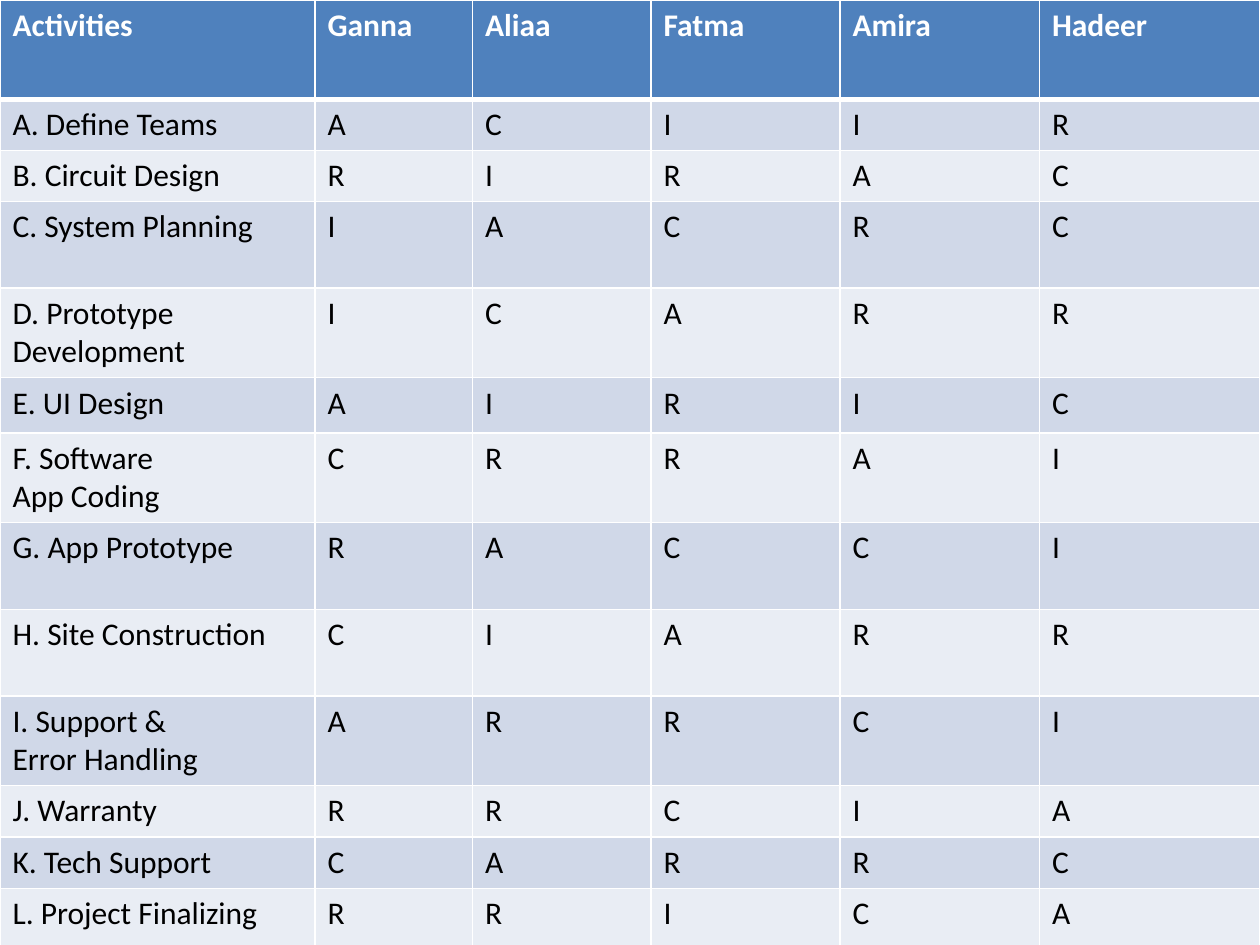
import pptx
import pptx.dml.color
import pptx.oxml
import pptx.oxml.ns
import pptx.util

Pt = pptx.util.Pt

COLORS = {
    "header": "4F81BD",
    "odd_band": "D0D8E8",
    "even_band": "E9EDF4",
    "line": "FFFFFF",
    "header_text": "FFFFFF",
    "body_text": "000000",
}
HEADER_FORMAT = {"name": "Calibri", "size": Pt(18), "bold": True}
BODY_FORMAT = {**HEADER_FORMAT, "bold": False}

COLUMN_WIDTHS = [180, 90, 102, 108, 114, 126]
HEADER = ["Activities", "Ganna", "Aliaa", "Fatma", "Amira", "Hadeer"]
HEADER_HEIGHT = 56.7

# Activity, one role letter per person, row height
ACTIVITIES = [
    ("A. Define Teams", "ACIIR", 29.2),
    ("B. Circuit Design", "RIRAC", 29.2),
    ("C. System Planning", "IACRC", 49.6),
    ("D. Prototype Development", "ICARR", 50.4),
    ("E. UI Design", "AIRIC", 31.6),
    ("F. Software\nApp Coding", "CRRAI", 50.4),
    ("G. App Prototype", "RACCI", 49.6),
    ("H. Site Construction", "CIARR", 49.6),
    ("I. Support &\nError Handling", "ARRCI", 50.4),
    ("J. Warranty", "RRCIA", 29.4),
    ("K. Tech Support", "CARRC", 29.4),
    ("L. Project Finalizing", "RRICA", 52),
]


class MatrixSlide:
    """Holds the style and the current slide."""

    def __init__(self, page, colors):
        self.page = page
        self.colors = colors

    def color(self, name):
        return pptx.dml.color.RGBColor.from_string(self.colors[name])

    def add_borders(self, cell, widths):
        """Draw the cell's edges; widths maps L, R, T, B to points."""
        properties = cell._tc.get_or_add_tcPr()
        namespace = pptx.oxml.ns.nsdecls("a")
        for side, width in widths.items():
            properties.append(pptx.oxml.parse_xml(
                f'<a:ln{side} {namespace} w="{Pt(width)}"><a:solidFill>'
                f'<a:srgbClr val="{self.colors["line"]}"/>'
                f'</a:solidFill></a:ln{side}>'))

    def fill_cell(self, cell, text, fill, text_color, text_format, borders):
        self.add_borders(cell, borders)
        cell.fill.solid()
        cell.fill.fore_color.rgb = self.color(fill)
        cell.text = text
        for para in cell.text_frame.paragraphs:
            for span in para.runs:
                for name, value in text_format.items():
                    setattr(span.font, name, value)
                span.font.color.rgb = self.color(text_color)

    def add_matrix(self, rows, heights, widths):
        frame = self.page.shapes.add_table(
            len(rows), len(widths), 0, 0, Pt(sum(widths)), Pt(sum(heights)))
        table = frame.table
        for column, width in zip(table.columns, widths):
            column.width = Pt(width)
        for index, (texts, height) in enumerate(zip(rows, heights)):
            table.rows[index].height = Pt(height)
            borders = {"L": 1, "R": 1, "T": 3 if index == 1 else 1,
                       "B": 3 if index == 0 else 1}
            if index == 0:
                style = ("header", "header_text", HEADER_FORMAT)
            else:
                band = "odd_band" if index % 2 else "even_band"
                style = (band, "body_text", BODY_FORMAT)
            for cell, text in zip(table.rows[index].cells, texts):
                self.fill_cell(cell, text, *style, borders)


def main():
    deck = pptx.Presentation()
    deck.slide_width, deck.slide_height = Pt(720), Pt(540)
    page = deck.slides.add_slide(deck.slide_layouts[6])
    rows = [HEADER] + [[name, *roles] for name, roles, _ in ACTIVITIES]
    heights = [HEADER_HEIGHT] + [height for _, _, height in ACTIVITIES]
    MatrixSlide(page, COLORS).add_matrix(rows, heights, COLUMN_WIDTHS)
    deck.save("out.pptx")


if __name__ == "__main__":
    main()
